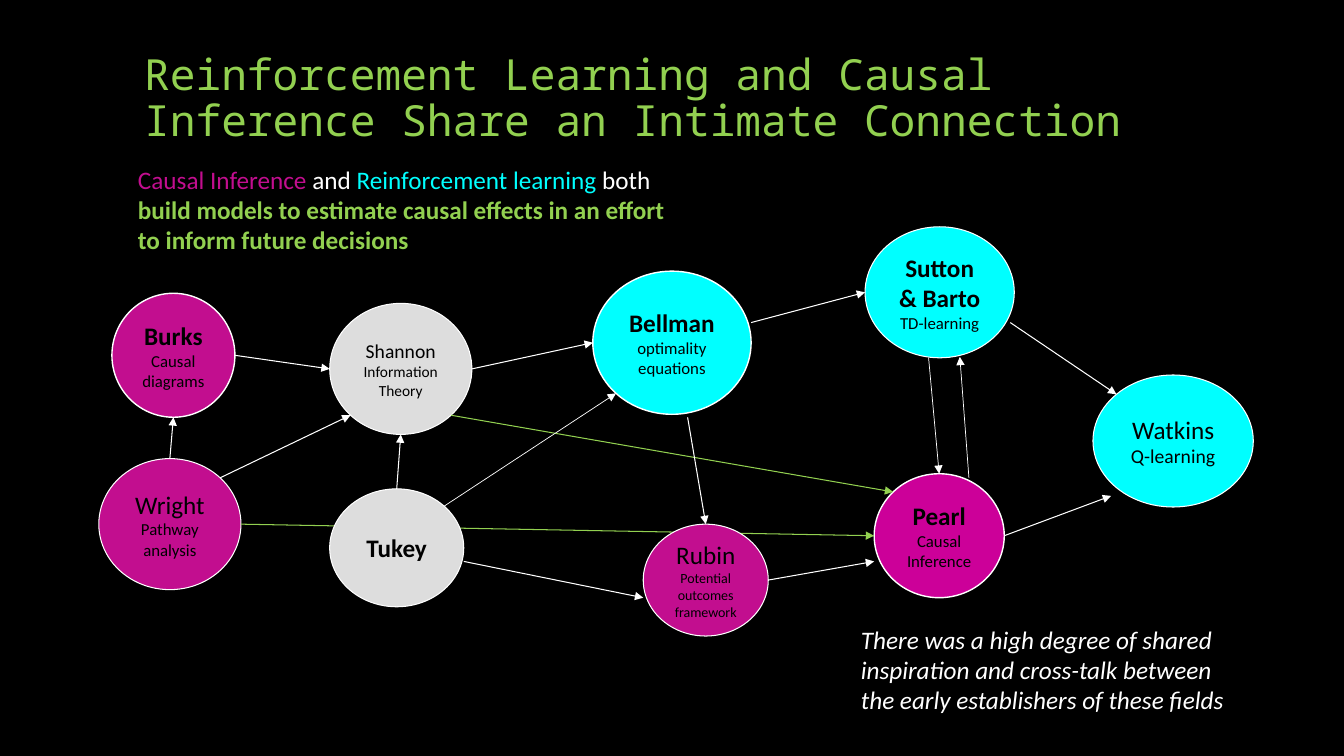
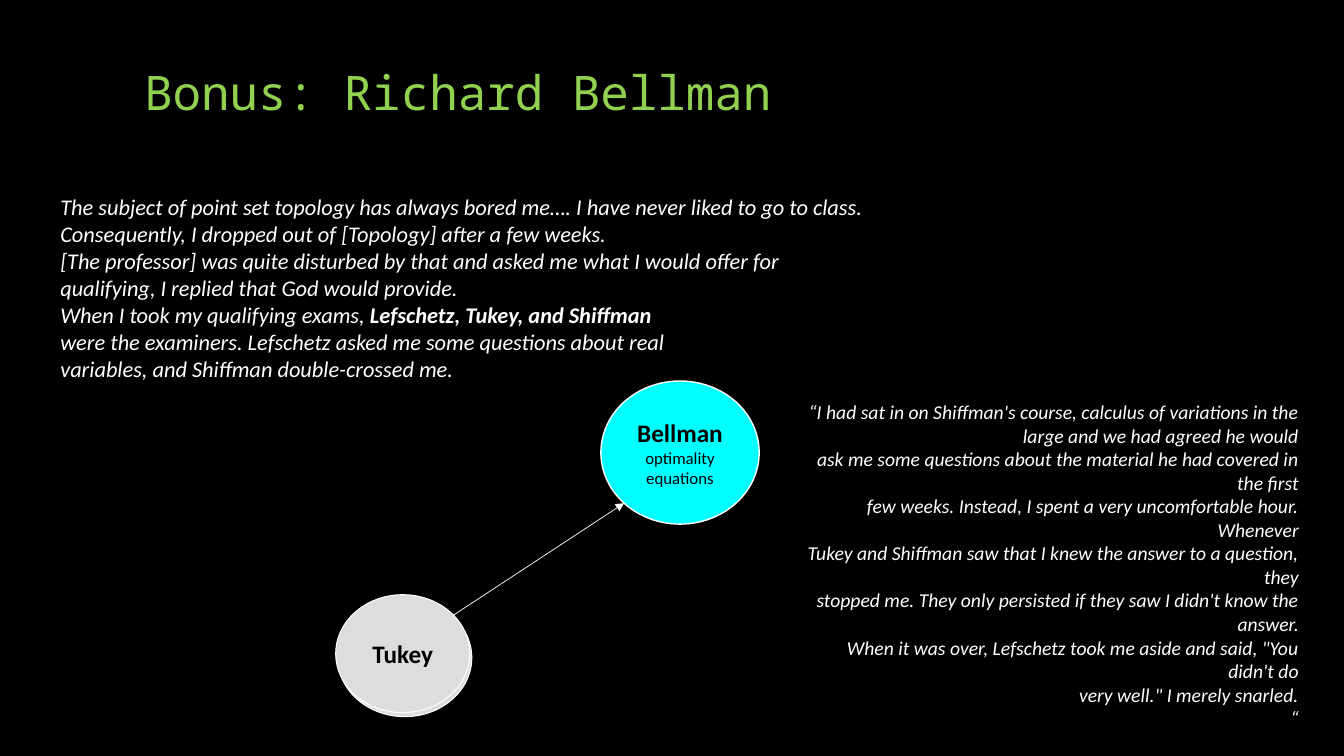
from math import sqrt

from lxml import etree
from pptx import Presentation
from pptx.dml.color import RGBColor
from pptx.enum.shapes import MSO_CONNECTOR, MSO_SHAPE
from pptx.enum.text import MSO_ANCHOR, MSO_AUTO_SIZE, PP_ALIGN
from pptx.oxml.ns import qn
from pptx.util import Inches, Pt

OVAL = MSO_SHAPE.OVAL
STRAIGHT = MSO_CONNECTOR.STRAIGHT
LEFT, CENTER, RIGHT = PP_ALIGN.LEFT, PP_ALIGN.CENTER, PP_ALIGN.RIGHT
MIDDLE, BOTTOM = MSO_ANCHOR.MIDDLE, MSO_ANCHOR.BOTTOM
NO_FIT, GROW = MSO_AUTO_SIZE.NONE, MSO_AUTO_SIZE.SHAPE_TO_FIT_TEXT

COLORS = {
    "black": "000000",
    "white": "FFFFFF",
    "green": "92D050",
    "cyan": "00FFFF",
    "magenta": "C20E8F",
    "pink": "CC0099",
    "gray": "DDDDDD",
}
TITLE_FONT, BODY_FONT = "Noto Sans Mono", "Calibri"
TITLE_ONLY = 5

# Connection sites of an oval: index and direction from its centre
DIAGONAL = sqrt(0.5)
SITES = {
    "top": (0, 0, -1),
    "top left": (1, -DIAGONAL, -DIAGONAL),
    "left": (2, -1, 0),
    "bottom left": (3, -DIAGONAL, DIAGONAL),
    "bottom": (4, 0, 1),
    "bottom right": (5, DIAGONAL, DIAGONAL),
    "right": (6, 1, 0),
    "top right": (7, DIAGONAL, -DIAGONAL),
}

# Node looks: fill, outline width, name size, bold name, detail, detail size
NODES = {
    "Burks": ("magenta", 1, 18, True, "Causal diagrams", 12),
    "Shannon": ("gray", 0.75, 14, False, "Information Theory", 11),
    "Bellman": ("cyan", 1, 18, True, "optimality equations", 12),
    "Pearl": ("pink", 1, 18, True, "Causal Inference", 12),
    "Wright": ("magenta", 0.75, 18, False, "Pathway analysis", 12),
    "Watkins": ("cyan", 0.75, 18, False, "Q-learning", 14),
    "Sutton & Barto": ("cyan", 0.75, 18, True, "TD-learning", 12),
    "Tukey": ("gray", 0.75, 18, True, "", 12),
    "Rubin": ("magenta", 0.75, 18, False, "Potential outcomes framework", 10),
}
BELLMAN_SIZE, TUKEY_SIZE = (1.57, 1.42), (1.33, 1.17)

BACK_NODES = {
    "Wright": (0.98, 4.55, 1.41, 1.3),
    "Pearl": (8.67, 4.7, 1.29, 1.23),
}
FRONT_NODES = {
    "Burks": (1.11, 2.91, 1.22, 1.23),
    "Shannon": (3.27, 3.01, 1.41, 1.3),
    "Bellman": (5.88, 2.69, *BELLMAN_SIZE),
    "Watkins": (10.84, 3.72, 1.59, 1.31),
    "Sutton & Barto": (8.58, 2.25, 1.48, 1.3),
    "Tukey": (3.27, 4.85, *TUKEY_SIZE),
    "Rubin": (6.38, 5.2, 1.24, 1.11),
}

# Arrow ends are (node, site) or a free point (x, y)
ARROWS = [
    (("Burks", "right"), ("Shannon", "left")),
    (("Shannon", "right"), ("Bellman", "left")),
    (("Wright", "top"), ("Burks", "bottom")),
    (("Wright", "top right"), ("Shannon", "bottom left")),
    (("Pearl", "right"), (11.02, 4.92)),
    ((7.45, 3.2), ("Sutton & Barto", "left")),
    ((10.02, 3.2), ("Watkins", "top left")),
    ((6.82, 4.14), ("Rubin", "top")),
    (("Tukey", "top"), ("Shannon", "bottom")),
    ((4.6, 5.57), (6.38, 5.93)),
    (("Rubin", "right"), (8.67, 5.57)),
]
TUKEY_TO_BELLMAN = (("Tukey", "top right"), ("Bellman", "bottom left"))
THIN_ARROWS = [
    TUKEY_TO_BELLMAN,
    ((9.21, 3.55), ("Pearl", "top")),
    ((9.61, 4.74), (9.52, 3.54)),
]

TOPOLOGY_QUOTE = [
    ["The subject of point set topology has always bored me…. "
     "I have never liked to go to class."],
    ["Consequently, I dropped out of [Topology] after a few weeks."],
    ["[The professor] was quite disturbed by that and asked me "
     "what I would offer for"],
    ["qualifying, I replied that God would provide."],
    ["When I took my qualifying exams, ",
     ("Lefschetz, Tukey, and Shiffman", {"bold": True})],
    ["were the examiners. Lefschetz asked me some questions about real"],
    ["variables, and Shiffman double-crossed me."],
]
EXAM_QUOTE = [
    ["“I had sat in on Shiffman's course, calculus of variations in the "
     "large and we had agreed he would"],
    ["ask me some questions about the material he had covered in the first"],
    ["few weeks. Instead, I spent a very uncomfortable hour. Whenever"],
    ["Tukey and Shiffman saw that I knew the answer to a question, they"],
    ["stopped me. They only persisted if they saw I didn't know the answer."],
    ["When it was over, Lefschetz took me aside and said, \"You didn't do"],
    ["very well.\" I merely snarled."],
    ["“"],
]


def rgb(name):
    return RGBColor.from_string(COLORS[name])


def add_span(para, text, size=18, color="white", bold=False, italic=False,
             font=BODY_FONT):
    span = para.add_run()
    span.text = text
    span.font.name = font
    span.font.size = Pt(size)
    span.font.bold = bold
    span.font.italic = italic
    span.font.color.rgb = rgb(color)


def add_paras(frame, paras, align=LEFT, **style):
    """Fill a frame; a span is a string or (string, style overrides)."""
    for index, spans in enumerate(paras):
        para = frame.paragraphs[0] if index == 0 else frame.add_paragraph()
        para.alignment = align
        for span in spans:
            text, extra = (span, {}) if isinstance(span, str) else span
            add_span(para, text, **{**style, **extra})


def add_page(deck, title, size, height):
    page = deck.slides.add_slide(deck.slide_layouts[TITLE_ONLY])
    box = page.shapes.title
    box.left, box.top = Inches(1.33), Inches(0.25)
    box.width, box.height = Inches(10), Inches(height)
    frame = box.text_frame
    frame.word_wrap = True
    frame.auto_size = NO_FIT
    frame.vertical_anchor = BOTTOM
    add_paras(frame, [[title]], size=size, color="green", font=TITLE_FONT)
    frame.paragraphs[0].line_spacing = 0.9
    return page


def add_text_box(page, place, paras, **style):
    box = page.shapes.add_textbox(*map(Inches, place))
    box.text_frame.word_wrap = True
    box.text_frame.auto_size = GROW
    add_paras(box.text_frame, paras, **style)


def add_node(page, name, place):
    fill, outline, name_size, bold, detail, detail_size = NODES[name]
    oval = page.shapes.add_shape(OVAL, *map(Inches, place))
    oval.shadow.inherit = False
    oval.fill.solid()
    oval.fill.fore_color.rgb = rgb(fill)
    oval.line.color.rgb = rgb("white")
    oval.line.width = Pt(outline)
    frame = oval.text_frame
    frame.word_wrap = True
    frame.vertical_anchor = MIDDLE
    frame.margin_left = frame.margin_right = Inches(0.1)
    frame.margin_top = frame.margin_bottom = Inches(0.1)
    paras = [[(name, {"size": name_size, "bold": bold})]]
    if detail:
        paras.append([(detail, {"size": detail_size})])
    add_paras(frame, paras, align=CENTER, color="black")
    return oval


def add_nodes(page, places):
    return {name: add_node(page, name, place) for name, place in places.items()}


def locate(nodes, end):
    """Return the point of an arrow end, and its (oval, site index) if joined."""
    if end[0] not in nodes:
        return (Inches(end[0]), Inches(end[1])), None
    oval = nodes[end[0]]
    site, across, down = SITES[end[1]]
    x = oval.left + oval.width * (1 + across) / 2
    y = oval.top + oval.height * (1 + down) / 2
    return (round(x), round(y)), (oval, site)


def add_arrow(page, nodes, start, end, color="white", width=0.75):
    start_point, start_joint = locate(nodes, start)
    end_point, end_joint = locate(nodes, end)
    arrow = page.shapes.add_connector(STRAIGHT, *start_point, *end_point)
    arrow.line.color.rgb = rgb(color)
    arrow.line.width = Pt(width)
    # Arrowhead and no shadow
    properties = arrow.element.spPr
    etree.SubElement(properties.find(qn("a:ln")), qn("a:tailEnd"), type="triangle")
    etree.SubElement(properties, qn("a:effectLst"))
    # Oval sites go beyond the four sides that begin_connect can place
    joints = arrow.element.find(".//" + qn("p:cNvCxnSpPr"))
    for tag, joint in (("a:stCxn", start_joint), ("a:endCxn", end_joint)):
        if joint:
            oval, site = joint
            etree.SubElement(joints, qn(tag), id=str(oval.shape_id), idx=str(site))


def build_connection_page(deck):
    page = add_page(deck, "Reinforcement Learning and Causal Inference "
                    "Share an Intimate Connection", size=30.6, height=1.25)
    # The long green arrow runs behind the front nodes
    nodes = add_nodes(page, BACK_NODES)
    add_arrow(page, nodes, ("Wright", "right"), ("Pearl", "left"), color="green")
    nodes.update(add_nodes(page, FRONT_NODES))
    add_arrow(page, nodes, ("Shannon", "bottom right"), ("Pearl", "top left"),
              color="green")
    for start, end in ARROWS:
        add_arrow(page, nodes, start, end)
    for start, end in THIN_ARROWS:
        add_arrow(page, nodes, start, end, width=0.5)
    # Claim and closing remark
    add_text_box(page, (1.27, 1.58, 5.58, 1.01), [[
        ("Causal Inference ", {"color": "magenta"}),
        "and ",
        ("Reinforcement learning", {"color": "cyan"}),
        " both ",
        ("build models to estimate causal effects in an effort to inform "
         "future decisions", {"color": "green", "bold": True}),
    ]])
    add_text_box(page, (8.44, 6.14, 3.89, 1.01), [[
        "There was a high degree of shared inspiration and cross-talk between "
        "the early establishers of these fields"]], italic=True)


def build_bellman_page(deck):
    page = add_page(deck, "Bonus: Richard Bellman", size=34, height=1)
    nodes = add_nodes(page, {
        "Bellman": (5.96, 3.78, *BELLMAN_SIZE),
        "Tukey": (3.35, 5.94, *TUKEY_SIZE),
    })
    add_arrow(page, nodes, *TUKEY_TO_BELLMAN, width=0.5)
    # A second, slightly offset oval lies on top
    add_node(page, "Tukey", (3.33, 5.9, *TUKEY_SIZE))
    # Quotes
    add_text_box(page, (0.5, 1.87, 10, 1.99), TOPOLOGY_QUOTE,
                 size=16, italic=True)
    add_text_box(page, (7.83, 3.92, 5.15, 3.4), EXAM_QUOTE,
                 align=RIGHT, size=14, italic=True)


def main():
    deck = Presentation()
    deck.slide_width, deck.slide_height = Inches(13.33), Inches(7.5)
    backdrop = deck.slide_master.background.fill
    backdrop.solid()
    backdrop.fore_color.rgb = rgb("black")
    build_connection_page(deck)
    build_bellman_page(deck)
    deck.save("out.pptx")


if __name__ == "__main__":
    main()
